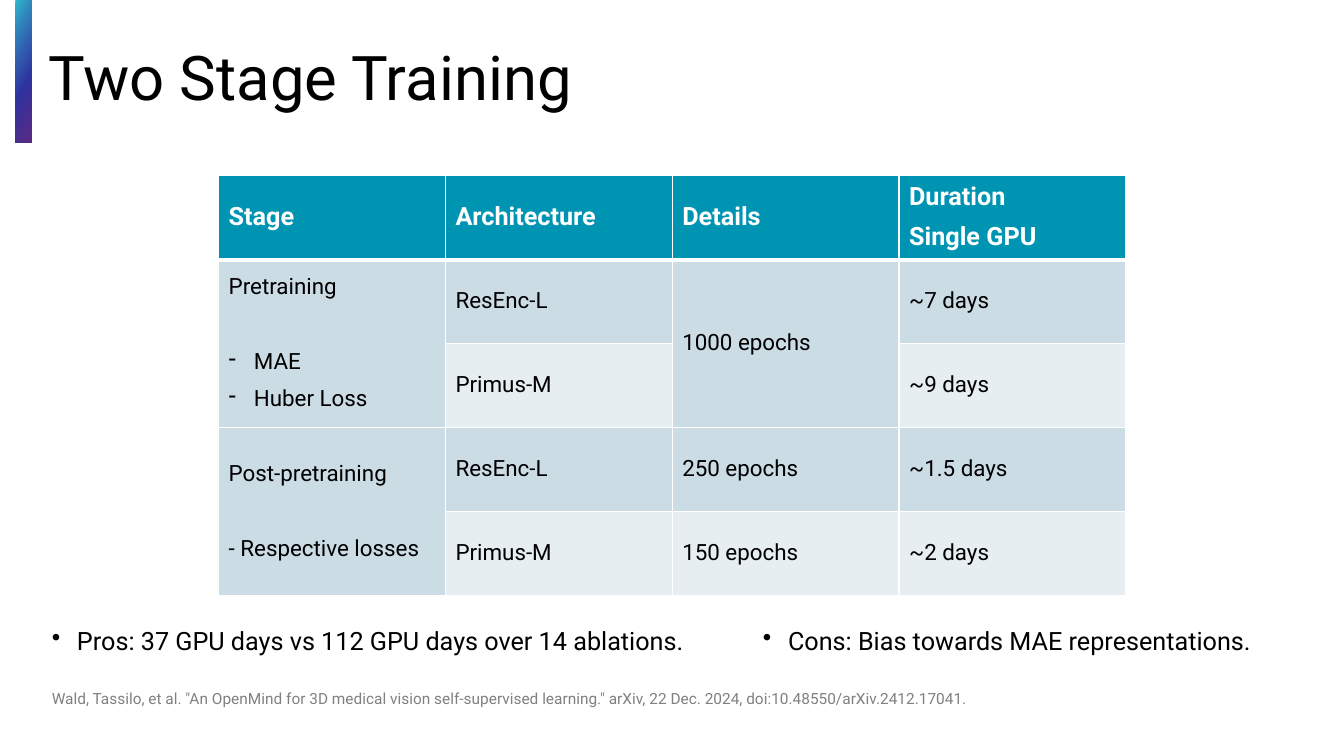
from pptx import Presentation
from pptx.dml.color import RGBColor
from pptx.enum.shapes import MSO_SHAPE
from pptx.enum.text import MSO_ANCHOR, PP_ALIGN
from pptx.oxml import parse_xml
from pptx.oxml.ns import nsdecls, qn
from pptx.util import Pt
from lxml.etree import SubElement

FONT = "Roboto"
BLACK, WHITE, GREY = "000000", "FFFFFF", "808080"
HEADER_FILL, DARK_BAND, LIGHT_BAND = "0094B3", "CCDCE5", "E7EEF2"
GRADIENT = ["2FB9CC", "3084BD", "3059AE", "2F33A0", "462E91", "592C82"]

LEFT, CONTENT_WIDTH = 34.5, 913
TABLE_LEFT, TABLE_TOP, COLUMN_WIDTH, ROW_HEIGHT = 156.2, 125.5, 162, 60
LINE_SPACING, SPACE_BEFORE, SECTION_GAP = 0.9, 10, 37
BULLET_INDENT = 18

# Each cell holds paragraphs as (text, space before, bullet); None continues the cell above.
HEADERS = [
    [("Stage", 0, None)],
    [("Architecture", 0, None)],
    [("Details", 0, None)],
    [("Duration", 0, None), ("Single GPU", SPACE_BEFORE, None)],
]
PRETRAINING = [
    ("Pretraining", 0, None),
    ("MAE", SECTION_GAP, "-"),
    ("Huber Loss", SPACE_BEFORE, "-"),
]
POST_PRETRAINING = [
    ("Post-pretraining", 0, None),
    ("- Respective losses", SECTION_GAP, None),
]
STAGE_ROWS = [
    [PRETRAINING, "ResEnc-L", "1000 epochs", "~7 days"],
    [None, "Primus-M", None, "~9 days"],
    [POST_PRETRAINING, "ResEnc-L", "250 epochs", "~1.5 days"],
    [None, "Primus-M", "150 epochs", "~2 days"],
]


def color(value):
    return RGBColor.from_string(value)


def set_indent(paragraph, margin, first_line=0):
    properties = paragraph._p.get_or_add_pPr()
    properties.set("marL", str(Pt(margin)))
    properties.set("indent", str(Pt(first_line)))


def add_bullet(paragraph, character):
    set_indent(paragraph, BULLET_INDENT, -BULLET_INDENT)
    SubElement(paragraph._p.get_or_add_pPr(), qn("a:buChar"), char=character)


def write_paragraphs(text_frame, paragraphs, size, text_color, bold=False):
    text_frame.text = "\n".join(text for text, _, _ in paragraphs)
    for paragraph, (_, space_before, bullet) in zip(text_frame.paragraphs, paragraphs):
        paragraph.line_spacing = LINE_SPACING
        paragraph.space_before = Pt(space_before)
        if bullet:
            add_bullet(paragraph, bullet)
        for run in paragraph.runs:
            run.font.name = FONT
            run.font.size = Pt(size)
            run.font.bold = bold
            run.font.color.rgb = color(text_color)


def add_text(slide, left, top, width, height, text, size,
             text_color=BLACK, anchor=MSO_ANCHOR.MIDDLE, bullet=None):
    """Add a one-paragraph text box without insets and return its paragraph."""
    text_frame = slide.shapes.add_textbox(
        Pt(left), Pt(top), Pt(width), Pt(height)).text_frame
    text_frame.word_wrap = True
    text_frame.vertical_anchor = anchor
    text_frame.margin_left = text_frame.margin_right = 0
    text_frame.margin_top = text_frame.margin_bottom = 0
    write_paragraphs(text_frame, [(text, 0, bullet)], size, text_color)
    return text_frame.paragraphs[0]


def add_accent_bar(slide):
    bar = slide.shapes.add_shape(MSO_SHAPE.RECTANGLE, Pt(11), 0, Pt(11.5), Pt(102))
    bar.shadow.inherit = False
    bar.line.fill.background()
    bar.fill.gradient()
    bar.fill.gradient_angle = 330
    stops = bar._element.spPr.find(".//" + qn("a:gsLst"))
    for stop in list(stops):
        stops.remove(stop)
    for index, value in enumerate(GRADIENT):
        stop = SubElement(stops, qn("a:gs"), pos=str(index * 20000))
        SubElement(stop, qn("a:srgbClr"), val=value)


def set_borders(cell, bottom_width):
    widths = {"lnL": 1, "lnR": 1, "lnT": 1, "lnB": bottom_width}
    for side, width in widths.items():
        cell._tc.get_or_add_tcPr().append(parse_xml(
            f'<a:{side} {nsdecls("a")} w="{Pt(width)}"><a:solidFill>'
            f'<a:srgbClr val="{WHITE}"/></a:solidFill></a:{side}>'))


def format_cell(cell, fill, bottom_width=1):
    set_borders(cell, bottom_width)
    cell.fill.solid()
    cell.fill.fore_color.rgb = color(fill)
    cell.vertical_anchor = MSO_ANCHOR.MIDDLE


def add_stage_table(slide):
    row_count, column_count = len(STAGE_ROWS) + 1, len(HEADERS)
    table = slide.shapes.add_table(
        row_count, column_count, Pt(TABLE_LEFT), Pt(TABLE_TOP),
        Pt(COLUMN_WIDTH * column_count), Pt(ROW_HEIGHT * row_count)).table
    for column in table.columns:
        column.width = Pt(COLUMN_WIDTH)
    for row in table.rows:
        row.height = Pt(ROW_HEIGHT)

    for column, paragraphs in enumerate(HEADERS):
        cell = table.cell(0, column)
        format_cell(cell, HEADER_FILL, bottom_width=3)
        write_paragraphs(cell.text_frame, paragraphs, 18, WHITE, bold=True)

    for row, contents in enumerate(STAGE_ROWS, start=1):
        for column, content in enumerate(contents):
            cell = table.cell(row, column)
            is_dark = row % 2 or content is None
            format_cell(cell, DARK_BAND if is_dark else LIGHT_BAND)
            if content is None:
                table.cell(row - 1, column).merge(cell)
                continue
            paragraphs = [(content, 0, None)] if isinstance(content, str) else content
            write_paragraphs(cell.text_frame, paragraphs, 16, BLACK)


def main():
    presentation = Presentation()
    presentation.slide_width, presentation.slide_height = Pt(960), Pt(540)
    slide = presentation.slides.add_slide(presentation.slide_layouts[6])

    add_accent_bar(slide)
    add_text(slide, LEFT, 12, CONTENT_WIDTH, 91, "Two Stage Training", 44)
    add_stage_table(slide)

    half_width = CONTENT_WIDTH / 2
    verdicts = [
        "Pros: 37 GPU days vs 112 GPU days over 14 ablations.",
        "Cons: Bias towards MAE representations.",
    ]
    for index, verdict in enumerate(verdicts):
        paragraph = add_text(slide, LEFT + index * half_width, 438.5, half_width, 41,
                             verdict, 18, bullet="•")
        paragraph.alignment = PP_ALIGN.CENTER

    citation = add_text(
        slide, LEFT, 493, CONTENT_WIDTH, 12.5,
        'Wald, Tassilo, et al. "An OpenMind for 3D medical vision self-supervised '
        'learning." arXiv, 22 Dec. 2024, doi:10.48550/arXiv.2412.17041.',
        11, GREY, MSO_ANCHOR.BOTTOM)
    set_indent(citation, 2.5)

    presentation.save("out.pptx")


if __name__ == "__main__":
    main()
